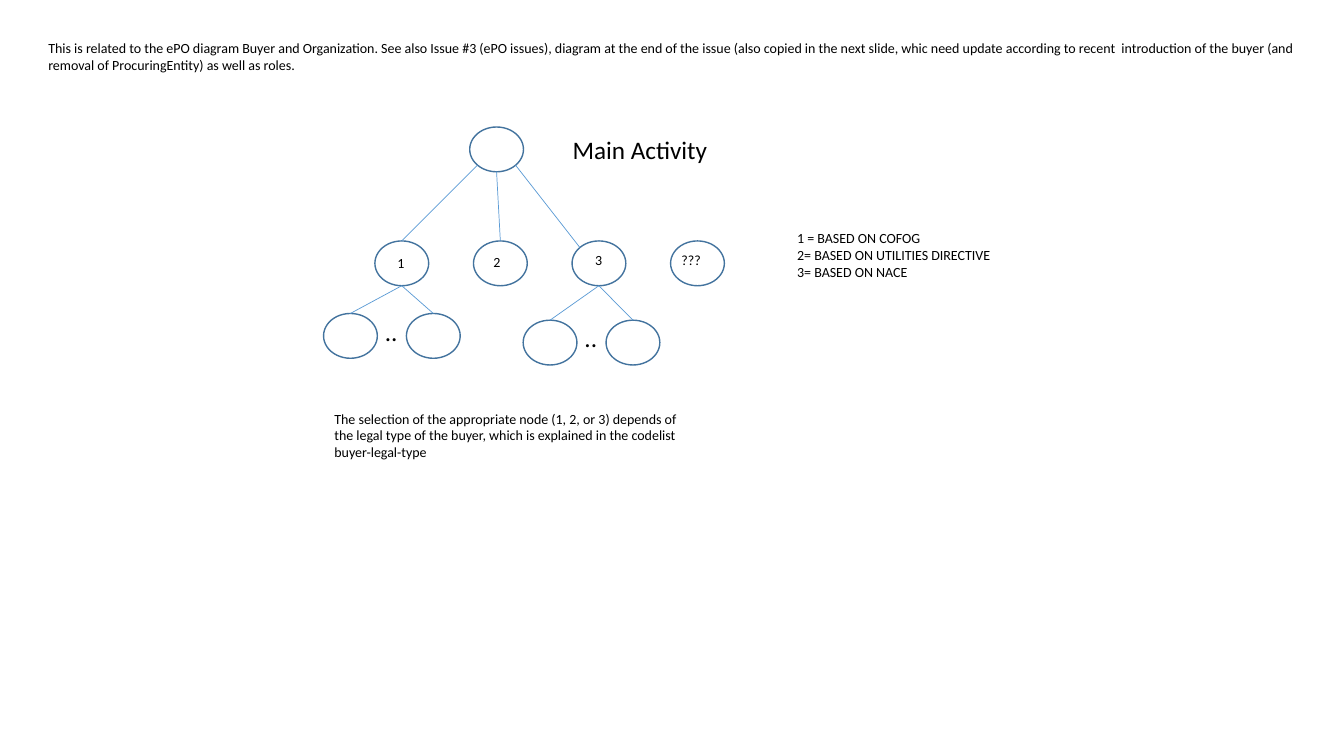
from dataclasses import dataclass

from lxml import etree
from pptx import Presentation
from pptx.dml.color import RGBColor
from pptx.enum.shapes import MSO_CONNECTOR, MSO_SHAPE
from pptx.enum.text import MSO_ANCHOR, MSO_AUTO_SIZE, PP_ALIGN
from pptx.oxml.ns import qn
from pptx.util import Pt

OVAL = MSO_SHAPE.OVAL
STRAIGHT = MSO_CONNECTOR.STRAIGHT
TOP = MSO_ANCHOR.TOP
GROW = MSO_AUTO_SIZE.SHAPE_TO_FIT_TEXT
LEFT, CENTER = PP_ALIGN.LEFT, PP_ALIGN.CENTER


@dataclass(frozen=True)
class Theme:
    font: str = "Calibri"
    text: RGBColor = RGBColor(0, 0, 0)
    node_fill: RGBColor = RGBColor(255, 255, 255)
    node_line: RGBColor = RGBColor(0x43, 0x73, 0x9E)
    branch: RGBColor = RGBColor(0x5B, 0x9B, 0xD5)
    large: int = 18
    small: int = 10
    node_width: float = 38.4
    node_height: float = 32
    diagonal: float = 0.71


THEME = Theme()


def place(shape, box):
    shape.left, shape.top, shape.width, shape.height = map(Pt, box)


def write_text(shape, text, size, wrap, align=LEFT):
    frame = shape.text_frame
    frame.text = text
    frame.word_wrap = wrap
    frame.auto_size = GROW
    frame.vertical_anchor = TOP
    for para in frame.paragraphs:
        para.alignment = align
        for span in para.runs:
            span.font.name = THEME.font
            span.font.size = Pt(size)
            span.font.color.rgb = THEME.text


def add_text(page, box, text, size=THEME.small, wrap=False, align=LEFT):
    shape = page.shapes.add_textbox(*map(Pt, box))
    write_text(shape, text, size, wrap, align)


def add_title(page, box, text):
    title = page.shapes.title
    place(title, box)
    write_text(title, text, THEME.large, False)


def add_node(page, left, top):
    node = page.shapes.add_shape(
        OVAL, Pt(left), Pt(top), Pt(THEME.node_width), Pt(THEME.node_height))
    node.shadow.inherit = False
    node.fill.solid()
    node.fill.fore_color.rgb = THEME.node_fill
    node.line.color.rgb = THEME.node_line
    node.line.width = Pt(1)
    return node


def rim_point(node, across, down):
    return (int(node.left + node.width * (1 + across) / 2),
            int(node.top + node.height * (1 + down) / 2))


def add_branch(page, parent, child, leave=(0, 1), arrive=(0, -1)):
    line = page.shapes.add_connector(
        STRAIGHT, *rim_point(parent, *leave), *rim_point(child, *arrive))
    line.line.color.rgb = THEME.branch
    line.line.width = Pt(0.5)
    etree.SubElement(line._element.spPr, qn("a:effectLst"))


def add_leaves(page, parent, left, top):
    for offset in (0, 59.2):
        add_branch(page, parent, add_node(page, left + offset, top))
    add_text(page, (left + 36.7, top - 1.8, 23.8, 29), "..", THEME.large)


def add_tree(page, left, top):
    labels = [
        ("1 ", 8.6, 6.5, 22.3, CENTER),
        ("2", 7.2, 5.8, 22.3, LEFT),
        ("3", 9.4, 4.3, 19.4, LEFT),
        ("???", 0.7, 4.3, 28.8, LEFT),
    ]
    row_top = top + 81.4
    root = add_node(page, left + 104.4, top)
    choices = []
    for column, (text, across, down, width, align) in enumerate(labels):
        node_left = left + 36.7 + column * 70.4
        choices.append(add_node(page, node_left, row_top))
        box = (node_left + across, row_top + down, width, 19.4)
        add_text(page, box, text, align=align)
    slant = THEME.diagonal
    add_branch(page, root, choices[0], leave=(-slant, slant))
    add_branch(page, root, choices[1])
    add_branch(page, root, choices[2], (slant, slant), (-slant, -slant))
    add_leaves(page, choices[0], left, top + 133.2)
    add_leaves(page, choices[2], left + 142.6, top + 138)


def build_activity_page(deck):
    page = deck.slides.add_slide(deck.slide_layouts[5])
    add_title(page, (401.8, 92.2, 111.6, 29), "Main Activity")
    add_tree(page, 231.1, 90.7)
    add_text(page, (562.3, 160.6, 154.8, 43.9),
             "1 = BASED ON COFOG\n2= BASED ON UTILITIES DIRECTIVE\n3= BASED ON NACE")
    add_text(page, (231.8, 289.4, 266.4, 43.9),
             "The selection of the appropriate node (1, 2, or 3) depends of the legal "
             "type of the buyer, which is explained in the codelist buyer-legal-type",
             wrap=True)
    add_text(page, (27.4, 24.5, 905.8, 31.7),
             "This is related to the ePO diagram Buyer and Organization. See also Issue "
             "#3 (ePO issues), diagram at the end of the issue (also copied in the next "
             "slide, whic need update according to recent  introduction of the buyer "
             "(and removal of ProcuringEntity) as well as roles.", wrap=True)


def main():
    deck = Presentation()
    deck.slide_width, deck.slide_height = Pt(960), Pt(540)
    build_activity_page(deck)
    deck.save("out.pptx")


if __name__ == "__main__":
    main()
